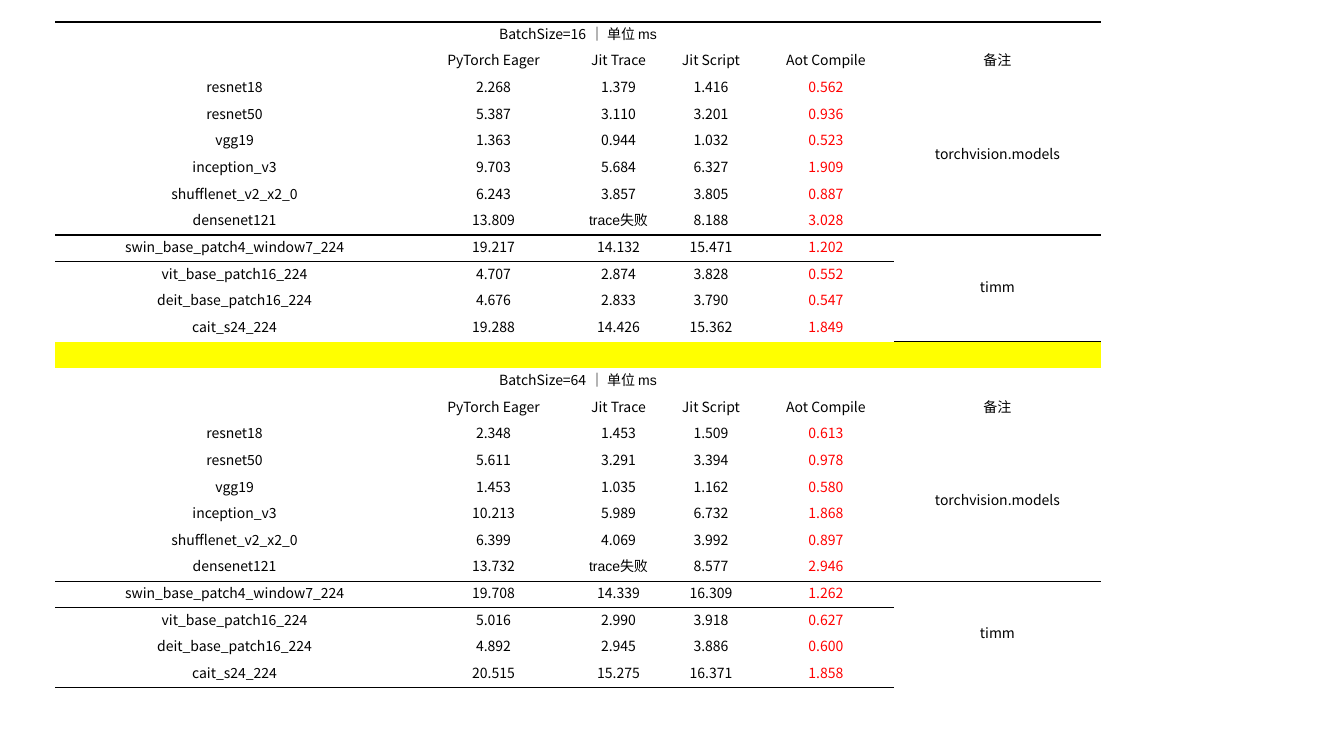
from lxml import etree
from pptx import Presentation
from pptx.dml.color import RGBColor
from pptx.enum.text import MSO_ANCHOR, PP_ALIGN
from pptx.oxml.ns import qn
from pptx.util import Pt

MIDDLE = MSO_ANCHOR.MIDDLE
CENTER = PP_ALIGN.CENTER

HEADERS = ["", "PyTorch Eager", "Jit Trace", "Jit Script", "Aot Compile", "备注"]
LIBRARIES = [
    ("torchvision.models", ["resnet18", "resnet50", "vgg19", "inception_v3",
                            "shufflenet_v2_x2_0", "densenet121"]),
    ("timm", ["swin_base_patch4_window7_224", "vit_base_patch16_224",
              "deit_base_patch16_224", "cait_s24_224"]),
]
BATCHES = [
    ("BatchSize=16", [
        ("2.268", "1.379", "1.416", "0.562"),
        ("5.387", "3.110", "3.201", "0.936"),
        ("1.363", "0.944", "1.032", "0.523"),
        ("9.703", "5.684", "6.327", "1.909"),
        ("6.243", "3.857", "3.805", "0.887"),
        ("13.809", "trace失败", "8.188", "3.028"),
        ("19.217", "14.132", "15.471", "1.202"),
        ("4.707", "2.874", "3.828", "0.552"),
        ("4.676", "2.833", "3.790", "0.547"),
        ("19.288", "14.426", "15.362", "1.849"),
    ]),
    ("BatchSize=64", [
        ("2.348", "1.453", "1.509", "0.613"),
        ("5.611", "3.291", "3.394", "0.978"),
        ("1.453", "1.035", "1.162", "0.580"),
        ("10.213", "5.989", "6.732", "1.868"),
        ("6.399", "4.069", "3.992", "0.897"),
        ("13.732", "trace失败", "8.577", "2.946"),
        ("19.708", "14.339", "16.309", "1.262"),
        ("5.016", "2.990", "3.918", "0.627"),
        ("4.892", "2.945", "3.886", "0.600"),
        ("20.515", "15.275", "16.371", "1.858"),
    ]),
]
UNIT = " ｜ 单位 ms"
COLORS = {"text": "000000", "best": "FF0000", "divider": "FFFF00", "rule": "000000"}
SANS, CJK = "Arial", "Noto Sans CJK SC"
NO_STYLE = "{2D5ABB26-0587-4C30-8999-92F81FD0307C}"
EMU_PER_PX = 914400 / 100.8
LEFT, TOP, HEIGHT = 55, 22, 666
COLUMN_WIDTHS = [359, 159, 91, 94, 136, 207]
TEXT_SIZE = 10
BLOCK_ROWS = 2 + len(BATCHES[0][1])
ROW_COUNT = len(BATCHES) * BLOCK_ROWS + len(BATCHES) - 1


def px(length):
    return round(length * EMU_PER_PX)


def write(cell, text, color="text", font=CJK):
    para = cell.text_frame.paragraphs[0]
    para.alignment = CENTER
    span = para.add_run()
    span.text = text
    span.font.size = Pt(TEXT_SIZE)
    span.font.name = font
    span.font.color.rgb = RGBColor.from_string(COLORS[color])
    east_asian = etree.SubElement(span.font._element, qn("a:ea"))
    east_asian.set("typeface", CJK)


def rule(cell, side):
    line = etree.SubElement(cell._tc.get_or_add_tcPr(), qn("a:" + side), w=str(Pt(1)))
    fill = etree.SubElement(line, qn("a:solidFill"))
    etree.SubElement(fill, qn("a:srgbClr"), val=COLORS["rule"])


def prepare(cell):
    cell.vertical_anchor = MIDDLE
    cell.margin_left = cell.margin_right = cell.margin_top = px(1)
    cell.margin_bottom = px(5)
    cell.fill.background()


def fill_block(table, top, title, results):
    heading = table.cell(top, 0)
    heading.merge(table.cell(top, len(HEADERS) - 1))
    write(heading, title)
    write(heading, UNIT, font=SANS)
    for column, header in enumerate(HEADERS):
        if header:
            write(table.cell(top + 1, column), header, font=SANS if header == "备注" else CJK)

    first = top + 2
    for library, models in LIBRARIES:
        last = first + len(models) - 1
        note = table.cell(first, len(HEADERS) - 1)
        note.merge(table.cell(last, len(HEADERS) - 1))
        write(note, library)
        for row, model in enumerate(models, first):
            write(table.cell(row, 0), model)
            for column, value in enumerate(results[row - top - 2], 1):
                write(table.cell(row, column), value,
                      color="best" if HEADERS[column] == "Aot Compile" else "text",
                      font=SANS if value.startswith("trace") else CJK)
        first = last + 1


def main():
    deck = Presentation()
    deck.slide_width, deck.slide_height = px(1344), px(756)
    page = deck.slides.add_slide(deck.slide_layouts[6])
    frame = page.shapes.add_table(ROW_COUNT, len(HEADERS), px(LEFT), px(TOP),
                                  px(sum(COLUMN_WIDTHS)), px(HEIGHT))
    table = frame.table
    table.first_row = table.horz_banding = False
    table._tbl.tblPr.find(qn("a:tableStyleId")).text = NO_STYLE
    for column, width in zip(table.columns, COLUMN_WIDTHS):
        column.width = px(width)

    library_start = 2 + len(LIBRARIES[0][1])
    starts = [index * (BLOCK_ROWS + 1) for index in range(len(BATCHES))]
    ruled_tops = [0] + [start + library_start for start in starts]
    ruled_bottoms = [row - 1 for row in ruled_tops[1:]] + [ROW_COUNT - 1]
    for index, row in enumerate(table.rows):
        row.height = px(HEIGHT / ROW_COUNT)
        for cell in row.cells:
            if index in ruled_tops:
                rule(cell, "lnT")
            if index in ruled_bottoms:
                rule(cell, "lnB")
            prepare(cell)

    for start, (title, results) in zip(starts, BATCHES):
        fill_block(table, start, title, results)
    for start in starts[1:]:
        divider = table.cell(start - 1, 0)
        divider.merge(table.cell(start - 1, len(HEADERS) - 1))
        divider.fill.solid()
        divider.fill.fore_color.rgb = RGBColor.from_string(COLORS["divider"])

    for cell in table.iter_cells():
        if not cell.text_frame.text:
            etree.SubElement(cell.text_frame.paragraphs[0]._p, qn("a:endParaRPr"),
                             sz=str(TEXT_SIZE * 100))
    deck.save("out.pptx")


if __name__ == "__main__":
    main()
